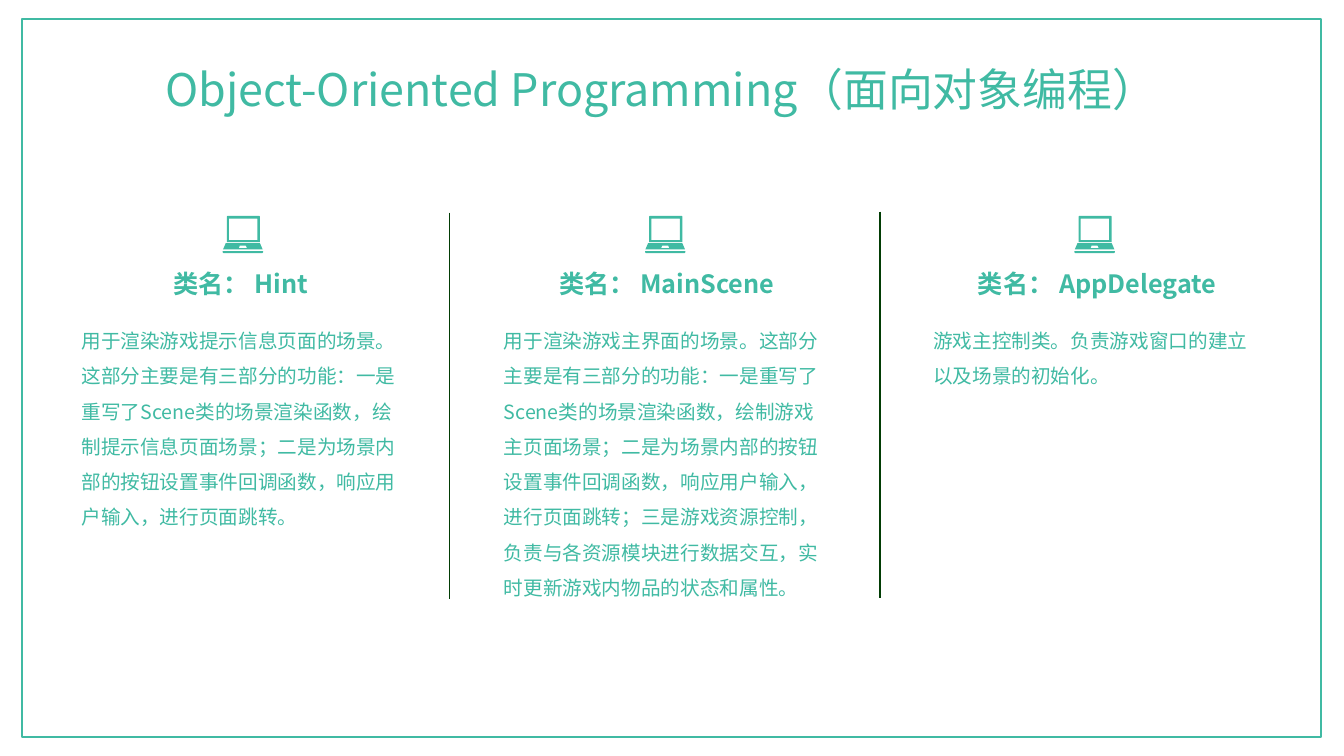
from lxml import etree
from pptx import Presentation
from pptx.dml.color import RGBColor
from pptx.enum import shapes, text
from pptx.oxml import ns
from pptx.util import Pt

FONT = "Noto Sans CJK SC"
GREEN = "40BAA3"
DARK = "023D05"

# Laptop outlines in tenths of a point; inner outlines cut holes
LAPTOP = [
    [(266, 194), (22, 194), (3, 238), (285, 238)],
    [(115, 230), (122, 212), (166, 212), (173, 230)],
    [(29, 4), (33, 0), (262, 0), (266, 4), (266, 187), (29, 187)],
    [(45, 20), (248, 20), (248, 172), (45, 172)],
    [(0, 252), (288, 252), (288, 260), (281, 266), (7, 266), (0, 260)],
]

# Left edge, heading left and width, body height, class name, description
COLUMNS = [
    (51.1, 68.4, 207.4, 157, "Hint",
     "用于渲染游戏提示信息页面的场景。这部分主要是有三部分的功能：一是重写了Scene类的场景渲染函数，"
     "绘制提示信息页面场景；二是为场景内部的按钮设置事件回调函数，响应用户输入，进行页面跳转。"),
    (352.8, 381.6, 189.4, 207.4, "MainScene",
     "用于渲染游戏主界面的场景。这部分主要是有三部分的功能：一是重写了Scene类的场景渲染函数，"
     "绘制游戏主页面场景；二是为场景内部的按钮设置事件回调函数，响应用户输入，进行页面跳转；"
     "三是游戏资源控制，负责与各资源模块进行数据交互，实时更新游戏内物品的状态和属性。"),
    (659.5, 681.1, 205.2, 58.3, "AppDelegate",
     "游戏主控制类。负责游戏窗口的建立以及场景的初始化。"),
]


def color(value):
    return RGBColor.from_string(value)


def add_text(parent, left, top, width, height, words, size, align, bold=False, spacing=1.0):
    box = parent.add_textbox(Pt(left), Pt(top), Pt(width), Pt(height))
    frame = box.text_frame
    frame.word_wrap = True
    frame.auto_size = text.MSO_AUTO_SIZE.SHAPE_TO_FIT_TEXT
    para = frame.paragraphs[0]
    para.alignment = align
    para.line_spacing = spacing
    span = para.add_run()
    span.text = words
    span.font.size = Pt(size)
    span.font.bold = bold
    span.font.name = FONT
    span.font.color.rgb = color(GREEN)
    etree.SubElement(span.font._element, ns.qn("a:ea")).set("typeface", FONT)


deck = Presentation()
deck.slide_width, deck.slide_height = Pt(960), Pt(540)
page = deck.slides.add_slide(deck.slide_layouts[6])

for x, top in ((628.6, 151.2), (321.1, 151.9)):
    divider = page.shapes.add_connector(
        shapes.MSO_CONNECTOR.STRAIGHT, Pt(x), Pt(top), Pt(x), Pt(top + 275.8))
    divider.line.color.rgb = color(DARK)
    divider.line.width = Pt(1)
    etree.SubElement(divider._element.spPr, ns.qn("a:effectLst"))

border = page.shapes.add_shape(
    shapes.MSO_SHAPE.RECTANGLE, Pt(15.8), Pt(13.7), Pt(928.1), Pt(512.6))
border.shadow.inherit = False
border.fill.background()
border.line.color.rgb = color(GREEN)
border.line.width = Pt(1.5)

add_text(page.shapes, 68.4, 40.3, 807.8, 46.1,
         "Object-Oriented Programming（面向对象编程）", 32, text.PP_ALIGN.CENTER)

for left, heading_left, heading_width, body_height, name, description in COLUMNS:
    group = page.shapes.add_group_shape().shapes

    builder = group.build_freeform(*LAPTOP[0][0], scale=Pt(0.1))
    builder.add_line_segments(LAPTOP[0][1:], close=True)
    for outline in LAPTOP[1:]:
        builder.move_to(*outline[0])
        builder.add_line_segments(outline[1:], close=True)
    laptop = builder.convert_to_shape(Pt(left + 108), Pt(154.3))
    laptop.shadow.inherit = False
    laptop.fill.solid()
    laptop.fill.fore_color.rgb = color(GREEN)
    laptop.line.fill.background()

    add_text(group, heading_left, 188.2, heading_width, 28.8,
             f"类名： {name}", 18, text.PP_ALIGN.CENTER, bold=True)
    add_text(group, left, 223, 249.8, body_height,
             description, 14, text.PP_ALIGN.LEFT, spacing=1.5)

deck.save("out.pptx")
